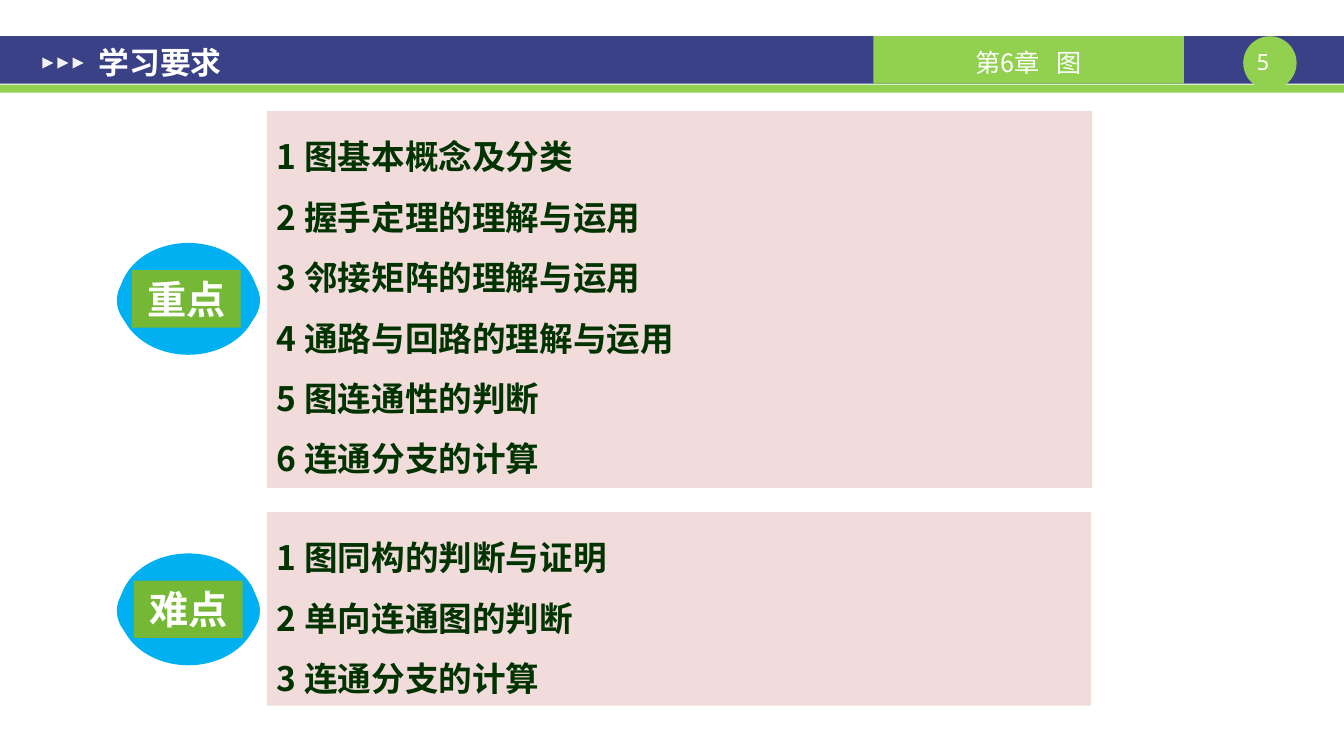
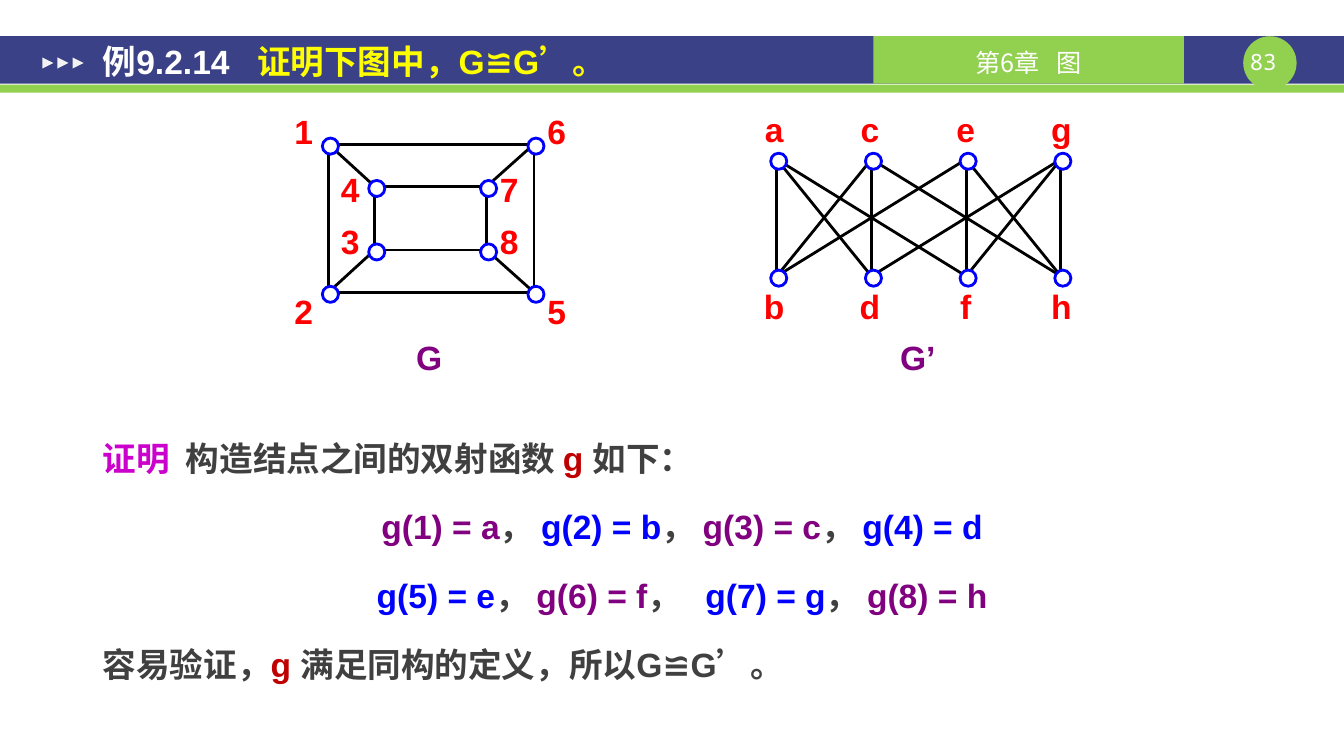
from lxml import etree
from pptx import Presentation
from pptx.dml.color import RGBColor
from pptx.enum.shapes import MSO_CONNECTOR, MSO_SHAPE
from pptx.enum.text import MSO_ANCHOR, PP_ALIGN
from pptx.oxml.ns import qn
from pptx.util import Inches, Pt

RECTANGLE, OVAL = MSO_SHAPE.RECTANGLE, MSO_SHAPE.OVAL
TRIANGLE, STRAIGHT = MSO_SHAPE.ISOSCELES_TRIANGLE, MSO_CONNECTOR.STRAIGHT
LEFT, CENTER = PP_ALIGN.LEFT, PP_ALIGN.CENTER
TOP, MIDDLE = MSO_ANCHOR.TOP, MSO_ANCHOR.MIDDLE

WHITE = RGBColor(0xFF, 0xFF, 0xFF)
BLACK = RGBColor(0, 0, 0)
NAVY = RGBColor(0x3A, 0x41, 0x87)
LIME = RGBColor(0x92, 0xD0, 0x50)
PALE_GREY = RGBColor(0xF2, 0xF2, 0xF2)
SKY = RGBColor(0x00, 0xB0, 0xF0)
LEAF = RGBColor(0x74, 0xB8, 0x36)
ROSE = RGBColor(0xF2, 0xDC, 0xDB)
DARK_GREEN = RGBColor(0x00, 0x33, 0x00)
YELLOW = RGBColor(0xFF, 0xFF, 0x00)
MAGENTA = RGBColor(0xCC, 0x00, 0xCC)
GREY = RGBColor(0x40, 0x40, 0x40)
CRIMSON = RGBColor(0xC0, 0x00, 0x00)
RED = RGBColor(0xFF, 0x00, 0x00)
PURPLE = RGBColor(0x80, 0x00, 0x80)
BLUE = RGBColor(0x00, 0x00, 0xFF)

ARIAL, CJK, MONO = "Arial", "Noto Sans CJK SC", "Noto Sans Mono"
TITLE_INSETS = (0.13, 0.07, 0.13, 0.07)
NO_INSETS = (0, 0, 0, 0)
DEFAULT_INSETS = (0.1, 0.05, 0.1, 0.05)

REQUIREMENTS = [
    ("重点", 1.31, 2.41, (2.65, 1.1, 8.19, 3.74),
     ["1 图基本概念及分类", "2 握手定理的理解与运用", "3 邻接矩阵的理解与运用",
      "4 通路与回路的理解与运用", "5 图连通性的判断", "6 连通分支的计算"]),
    ("难点", 1.33, 5.49, (2.65, 5.08, 8.18, 1.92),
     ["1 图同构的判断与证明", "2 单向连通图的判断", "3 连通分支的计算"]),
]

EXAMPLE_TITLE = [("例9.2.14", WHITE), (" ", WHITE, ARIAL, 13), ("证明下图中，G≌G", YELLOW),
                 ("’", YELLOW, CJK), ("。", YELLOW)]
COMMA = ("， ", GREY)
WIDE_COMMA = ("， ", GREY, ARIAL, 6)
PROOF = [
    (LEFT, [("证明", MAGENTA), (" ", MAGENTA, ARIAL, 6), ("构造结点之间的双射函数 ", GREY),
            ("g ", CRIMSON), ("如下：", GREY)]),
    (CENTER, [("g(1) = a", PURPLE), COMMA, ("g(2) = b", BLUE), COMMA,
              ("g(3) = c", PURPLE), COMMA, ("g(4) = d", BLUE)]),
    (CENTER, [("g(5) = e", BLUE), COMMA, ("g(6) = f", PURPLE), WIDE_COMMA,
              ("g(7) = g", BLUE), COMMA, ("g(8) = h", PURPLE)]),
    (LEFT, [("容易验证，", GREY), ("g ", CRIMSON), ("满足同构的定义，所以G≌G", GREY),
            ("’", GREY, CJK), ("。", GREY)]),
]

LEFT_LABEL, RIGHT_LABEL = -0.44, 0.03
CUBE_NODES = {
    "1": (3.28, 1.45, LEFT_LABEL, -0.35), "2": (3.28, 2.92, LEFT_LABEL, -0.03),
    "3": (3.74, 2.5, LEFT_LABEL, -0.31), "4": (3.74, 1.87, LEFT_LABEL, -0.19),
    "5": (5.32, 2.92, RIGHT_LABEL, -0.03), "6": (5.32, 1.45, RIGHT_LABEL, -0.35),
    "7": (4.85, 1.87, RIGHT_LABEL, -0.19), "8": (4.85, 2.5, RIGHT_LABEL, -0.31),
}
CUBE_EDGES = ["12", "25", "56", "61", "43", "38", "87", "74", "14", "23", "58", "67"]
BIPARTITE_NODES = {
    name: (7.73 + 0.94 * column, y, -0.22 + 0.01 * column, label_dy)
    for names, y, label_dy in (("aceg", 1.6, -0.52), ("bdfh", 2.76, 0.08))
    for column, name in enumerate(names)
}
BIPARTITE_EDGES = [top + bottom for top, bottoms in
                   (("a", "bdf"), ("c", "bdh"), ("e", "bfh"), ("g", "dfh"))
                   for bottom in bottoms]
GRAPHS = [("G", 3.91, CUBE_NODES, CUBE_EDGES),
          ("G’", 8.76, BIPARTITE_NODES, BIPARTITE_EDGES)]
NODE_SIZE, EDGE_SHIFT = 0.16, -0.02


def add_block(slide, kind, box, fill, line=None):
    shape = slide.shapes.add_shape(kind, *map(Inches, box))
    shape.shadow.inherit = False
    shape.fill.solid()
    shape.fill.fore_color.rgb = fill
    if line is None:
        shape.line.fill.background()
    else:
        shape.line.color.rgb = line
        shape.line.width = Pt(2)
    return shape


def add_run(paragraph, size, bold, text, color, font=ARIAL, gap=0):
    run = paragraph.add_run()
    run.text = text
    run.font.size = Pt(size)
    run.font.bold = bold
    run.font.color.rgb = color
    run.font.name = font
    properties = run._r.get_or_add_rPr()
    etree.SubElement(properties, qn("a:ea")).set("typeface", CJK)
    if gap:
        properties.set("spc", str(gap * 100))


def write(shape, paragraphs, size, bold=True, insets=DEFAULT_INSETS, anchor=TOP,
          line_spacing=None, space_before=None):
    frame = shape.text_frame
    frame.word_wrap = True
    frame.vertical_anchor = anchor
    (frame.margin_left, frame.margin_top,
     frame.margin_right, frame.margin_bottom) = map(Inches, insets)
    for index, (alignment, runs) in enumerate(paragraphs):
        paragraph = frame.add_paragraph() if index else frame.paragraphs[0]
        paragraph.alignment = alignment
        paragraph.line_spacing = line_spacing
        paragraph.space_before = space_before
        for run in runs:
            add_run(paragraph, size, bold, *run)


def add_text(slide, box, paragraphs, size, **options):
    write(slide.shapes.add_textbox(*map(Inches, box)), paragraphs, size, **options)


def add_edge(slide, start, end):
    points = [Inches(value + EDGE_SHIFT) for value in (*start[:2], *end[:2])]
    edge = slide.shapes.add_connector(STRAIGHT, *points)
    edge.line.color.rgb = BLACK
    edge.line.width = Pt(2)
    etree.SubElement(edge._element.spPr, qn("a:effectLst"))


def add_framed_slide(presentation, number, title, title_box, title_size):
    slide = presentation.slides.add_slide(presentation.slide_layouts[6])
    add_block(slide, RECTANGLE, (0, 0.36, 13.34, 0.47), NAVY)
    add_block(slide, RECTANGLE, (0, 0.84, 13.34, 0.08), LIME)
    add_block(slide, OVAL, (12.34, 0.36, 0.53, 0.53), LIME)
    add_text(slide, (12.34, 0.48, 0.53, 0.27), [(CENTER, [(f"{number} ", WHITE, MONO)])],
             16, bold=False, insets=NO_INSETS)
    chapter = add_block(slide, RECTANGLE, (8.67, 0.36, 3.08, 0.47), LIME)
    write(chapter, [(CENTER, [("第6章", WHITE, CJK), (" ", WHITE, CJK, 8), ("图", WHITE, CJK)])],
          18, bold=False, insets=(0.1, 0.04, 0.1, 0), anchor=MIDDLE)
    for index in range(3):
        arrow = add_block(slide, TRIANGLE, (0.42 + 0.15 * index, 0.57, 0.11, 0.11), PALE_GREY)
        arrow.rotation = 90
    add_text(slide, title_box, [(LEFT, title)], title_size, insets=TITLE_INSETS, anchor=MIDDLE)
    return slide


def add_requirements(slide):
    for name, tag_left, top, panel_box, items in REQUIREMENTS:
        add_block(slide, OVAL, (1.16, top + 0.12, 1.42, 0.9), SKY)
        add_block(slide, OVAL, (1.18, top, 1.38, 1.11), SKY)
        tag = add_block(slide, RECTANGLE, (tag_left, top + 0.27, 1.08, 0.57), LEAF)
        write(tag, [(CENTER, [(name, WHITE, CJK)])], 28)
        panel = add_block(slide, RECTANGLE, panel_box, ROSE)
        write(panel, [(LEFT, [(item, DARK_GREEN, CJK)]) for item in items], 24, line_spacing=1.5)


def add_graph(slide, name, name_left, nodes, edges):
    for start, end in edges:
        add_edge(slide, nodes[start], nodes[end])
    for label, (x, y, label_dx, label_dy) in nodes.items():
        add_block(slide, OVAL, (x - NODE_SIZE / 2, y - NODE_SIZE / 2, NODE_SIZE, NODE_SIZE),
                  WHITE, BLUE)
        add_text(slide, (x + label_dx, y + label_dy, 0.35, 0.51),
                 [(CENTER, [(label, RED)])], 24, insets=NO_INSETS)
    add_text(slide, (name_left, 3.34, 0.7, 0.51), [(CENTER, [(name, PURPLE)])],
             24, insets=NO_INSETS)


def main():
    presentation = Presentation()
    presentation.slide_width = Inches(13.34)
    presentation.slide_height = Inches(7.5)

    requirements = add_framed_slide(presentation, 5, [("学习要求", WHITE, CJK)],
                                    (0.85, 0.4, 5.8, 0.44), 22)
    add_requirements(requirements)

    example = add_framed_slide(presentation, 83, EXAMPLE_TITLE, (0.89, 0.17, 10.27, 0.87), 24)
    add_text(example, (0.89, 4.07, 11.76, 2.85), PROOF, 24, insets=TITLE_INSETS,
             line_spacing=1.5, space_before=Pt(6))
    for graph in GRAPHS:
        add_graph(example, *graph)

    presentation.save("out.pptx")


if __name__ == "__main__":
    main()
